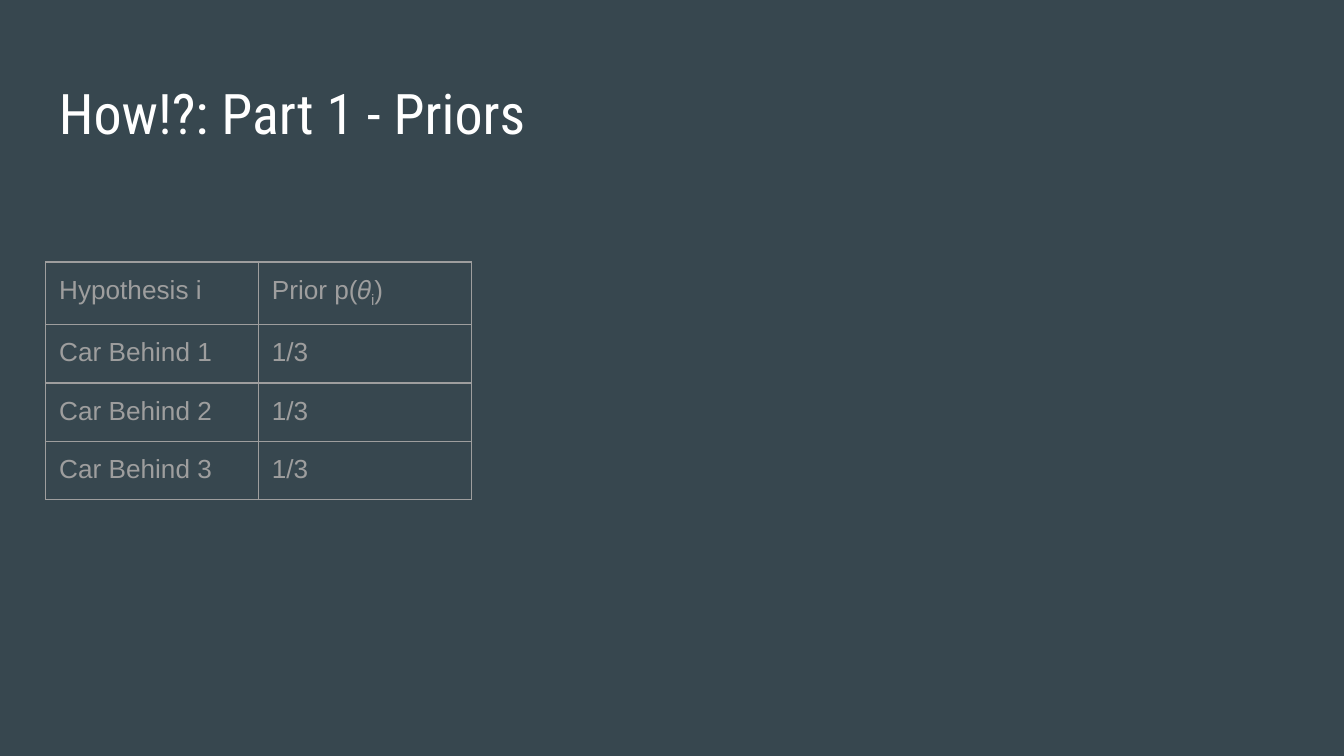
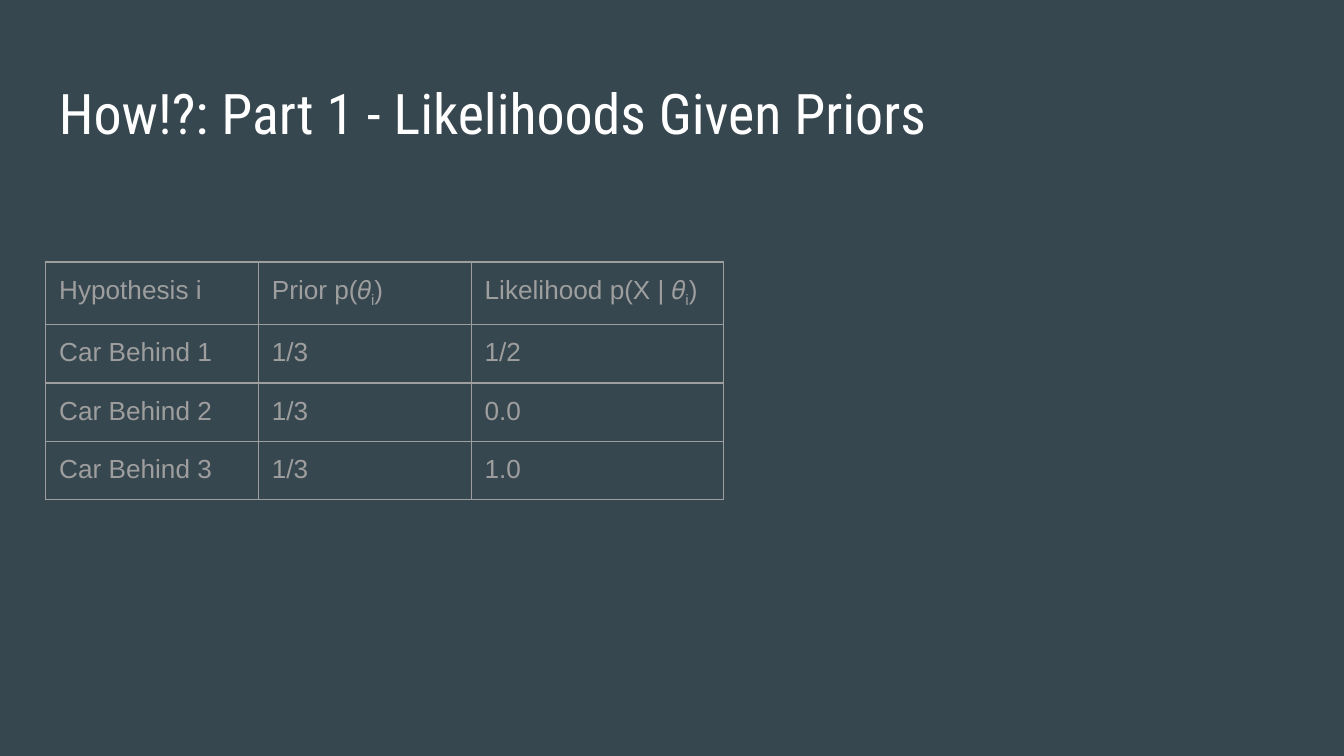
from lxml import etree
from pptx import Presentation, util as u
from pptx.dml.color import RGBColor
from pptx.enum import text
from pptx.oxml.ns import qn

BACKGROUND, TITLE_COLOR, TABLE_COLOR = "37474F", "FFFFFF", "9E9E9E"
TITLE_FONT, TABLE_FONT = "Roboto Condensed", "Arial"
INSET = 7.2
LEFT, TABLE_TOP = 24.5, 140.4
HEADER_HEIGHT, ROW_HEIGHT = 28, 30

HYPOTHESES = (114, ["Hypothesis i"], ["Car Behind 1", "Car Behind 2", "Car Behind 3"])
PRIORS = (114, ["Prior p(𝜃", "i", ")"], ["1/3", "1/3", "1/3"])
LIKELIHOODS = (135, ["Likelihood p(X | 𝜃", "i", ")"], ["1/2", "0.0", "1.0"])

SLIDES = [
    ("How!?: Part 1 - Priors", [HYPOTHESES, PRIORS]),
    ("How!?: Part 1 - Likelihoods Given Priors", [HYPOTHESES, PRIORS, LIKELIHOODS]),
]


def rgb(color):
    return RGBColor.from_string(color)


def set_insets(target):
    target.margin_left = target.margin_right = u.Pt(INSET)
    target.margin_top = target.margin_bottom = u.Pt(INSET)


def add_run(p, words, font, size, color):
    r = p.add_run()
    r.text = words
    r.font.name = font
    r.font.size = u.Pt(size)
    r.font.color.rgb = rgb(color)
    return r


def add_title(s, title):
    sp = s.shapes.add_textbox(u.Pt(LEFT), u.Pt(35), u.Pt(671), u.Pt(45.4))
    tf = sp.text_frame
    tf.word_wrap = True
    tf.vertical_anchor = text.MSO_ANCHOR.TOP
    set_insets(tf)
    add_run(tf.paragraphs[0], title, TITLE_FONT, 30, TITLE_COLOR)


def add_borders(cell):
    tcPr = cell._tc.get_or_add_tcPr()
    for side in ("a:lnL", "a:lnR", "a:lnT", "a:lnB"):
        ln = etree.SubElement(tcPr, qn(side), w=str(u.Pt(0.75)))
        fill = etree.SubElement(ln, qn("a:solidFill"))
        etree.SubElement(fill, qn("a:srgbClr"), val=TABLE_COLOR)


def fill_cell(cell, runs):
    add_borders(cell)
    cell.fill.background()
    set_insets(cell)
    p = cell.text_frame.paragraphs[0]
    for i, words in enumerate(runs):
        r = add_run(p, words, TABLE_FONT, 14, TABLE_COLOR)
        if i == 1:
            r.font._element.set("baseline", "-25000")


def add_table(s, columns):
    heights = [HEADER_HEIGHT] + [ROW_HEIGHT] * len(columns[0][2])
    width = sum(column[0] for column in columns)
    table = s.shapes.add_table(len(heights), len(columns), u.Pt(LEFT), u.Pt(TABLE_TOP),
                               u.Pt(width), u.Pt(sum(heights))).table
    table.first_row = table.horz_banding = False
    for row, height in zip(table.rows, heights):
        row.height = u.Pt(height)
    for c, (col_width, header, values) in enumerate(columns):
        table.columns[c].width = u.Pt(col_width)
        for r, runs in enumerate([header] + [[value] for value in values]):
            fill_cell(table.cell(r, c), runs)


def main():
    prs = Presentation()
    prs.slide_width, prs.slide_height = u.Pt(720), u.Pt(405)
    for title, columns in SLIDES:
        s = prs.slides.add_slide(prs.slide_layouts[6])
        s.background.fill.solid()
        s.background.fill.fore_color.rgb = rgb(BACKGROUND)
        add_title(s, title)
        add_table(s, columns)
    prs.save("out.pptx")


if __name__ == "__main__":
    main()
